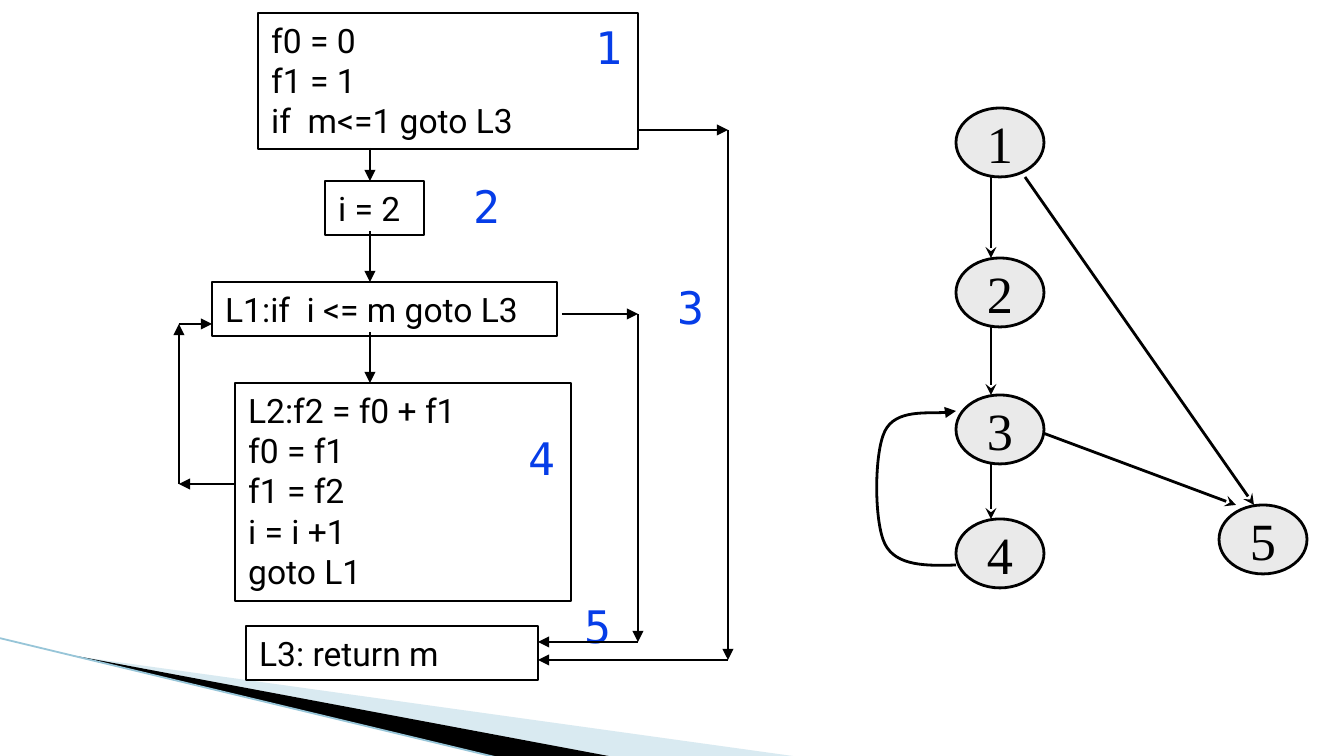
import dataclasses
import typing

import lxml.etree
import pptx
import pptx.dml.color
import pptx.enum.shapes
import pptx.enum.text
import pptx.oxml
import pptx.oxml.ns
import pptx.util

EMU_PER_PX = 914400 / 134.4
BLACK = "000000"
BLUE = "063DE8"
SHAPES = pptx.enum.shapes.MSO_SHAPE
MIDDLE = pptx.enum.text.MSO_ANCHOR.MIDDLE
CENTER = pptx.enum.text.PP_ALIGN.CENTER
GROW = pptx.enum.text.MSO_AUTO_SIZE.SHAPE_TO_FIT_TEXT

CODE_FRAME = {"auto_size": GROW, "vertical_anchor": pptx.enum.text.MSO_ANCHOR.TOP}
DIGIT_FRAME = {"word_wrap": False, "vertical_anchor": MIDDLE}
CODE_FONT = {"name": "Roboto", "size": pptx.util.Pt(18)}
LABEL_FONT = {"name": "DejaVu Sans Mono", "size": pptx.util.Pt(24)}
NODE_FONT = {"name": "Times New Roman", "size": pptx.util.Pt(28)}

Point = tuple[int, int]


@dataclasses.dataclass
class Block:
    """A basic block of the program and the place of its number."""
    left: int
    top: int
    width: int
    height: int
    code: str
    wrap: bool
    label: Point


@dataclasses.dataclass
class Arrow:
    start: Point
    end: Point


BLOCKS = [
    Block(258, 13, 380, 136, "f0 = 0\nf1 = 1\nif  m<=1 goto L3", True, (582, 22)),
    Block(325, 181, 99, 54, "i = 2", False, (460, 181)),
    Block(212, 282, 345, 54, "L1:if  i <= m goto L3", False, (664, 282)),
    Block(235, 383, 336, 218,
          "L2:f2 = f0 + f1\nf0 = f1\nf1 = f2\ni = i +1\ngoto L1", True, (515, 433)),
    Block(246, 626, 292, 54, "L3: return m", True, (571, 601)),
]
LABEL_SIZE = (42, 50)

FLOW_X, INNER_X, OUTER_X, BACK_X = 370, 638, 728, 179
FLOW_ARROWS = [
    Arrow((FLOW_X, 148), (FLOW_X, 181)),
    Arrow((FLOW_X, 231), (FLOW_X, 282)),
    Arrow((FLOW_X, 332), (FLOW_X, 383)),
    Arrow((638, 130), (OUTER_X, 130)),
    Arrow((OUTER_X, 130), (OUTER_X, 660)),
    Arrow((OUTER_X, 660), (538, 660)),
    Arrow((562, 314), (INNER_X, 314)),
    Arrow((INNER_X, 314), (INNER_X, 642)),
    Arrow((INNER_X, 642), (538, 642)),
    Arrow((235, 484), (BACK_X, 484)),
    Arrow((BACK_X, 484), (BACK_X, 324)),
    Arrow((BACK_X, 324), (212, 324)),
]

NODES = [(956, 108), (956, 258), (956, 395), (956, 519), (1219, 505)]
NODE_SIZE = (88, 69)
EDGE_X = 991
EDGES = [
    Arrow((EDGE_X, 177), (EDGE_X, 258)),
    Arrow((EDGE_X, 327), (EDGE_X, 395)),
    Arrow((EDGE_X, 464), (EDGE_X, 519)),
    Arrow((1043, 433), (1236, 505)),
    Arrow((1025, 177), (1254, 505)),
]
LOOP = [(956, 565), (926, 566), (896, 566), (885, 544), (874, 522),
        (874, 453), (885, 431), (896, 409), (943, 415), (956, 411)]


def px(length: int) -> int:
    return round(length * EMU_PER_PX)


def rgb(color: str) -> pptx.dml.color.RGBColor:
    return pptx.dml.color.RGBColor.from_string(color)


def set_attributes(target: typing.Any, values: dict) -> None:
    for name, value in values.items():
        setattr(target, name, value)


def set_line(shape: typing.Any, width: float, color: str = BLACK, head: str = "") -> None:
    """Set the outline, with an arrowhead of the given type at its end."""
    shape.line.width = pptx.util.Pt(width)
    shape.line.color.rgb = rgb(color)
    if head:
        tail = lxml.etree.SubElement(shape.line._get_or_add_ln(), pptx.oxml.ns.qn("a:tailEnd"))
        tail.set("type", head)


def write(shape: typing.Any, text: str, frame: dict, font: dict,
          color: str = BLACK, align: typing.Any = None) -> None:
    set_attributes(shape.text_frame, frame)
    shape.text_frame.text = text
    for para in shape.text_frame.paragraphs:
        para.alignment = align
        for span in para.runs:
            set_attributes(span.font, font)
            span.font.color.rgb = rgb(color)


def add_line(page: typing.Any, arrow: Arrow, width: float,
             color: str = BLACK, head: str = "") -> None:
    ends = [px(value) for value in (*arrow.start, *arrow.end)]
    line = page.shapes.add_connector(pptx.enum.shapes.MSO_CONNECTOR.STRAIGHT, *ends)
    set_line(line, width, color, head)
    lxml.etree.SubElement(line._element.spPr, pptx.oxml.ns.qn("a:effectLst"))


def add_outline(page: typing.Any, points: list[Point], close: bool) -> typing.Any:
    builder = page.shapes.build_freeform(*points[0], scale=EMU_PER_PX)
    builder.add_line_segments(points[1:], close=close)
    outline = builder.convert_to_shape()
    outline.shadow.inherit = False
    return outline


def add_wedge(page: typing.Any, points: list[Point], color: str, opacity: int) -> None:
    wedge = add_outline(page, points, True)
    wedge.line.fill.background()
    wedge.fill.solid()
    wedge.fill.fore_color.rgb = rgb(color)
    if opacity < 100:
        tint = wedge._element.spPr.find(".//" + pptx.oxml.ns.qn("a:srgbClr"))
        lxml.etree.SubElement(tint, pptx.oxml.ns.qn("a:alpha")).set("val", str(opacity * 1000))


def add_loop(page: typing.Any, points: list[Point]) -> None:
    """Draw cubic curves: each three points after the first form one."""
    loop = add_outline(page, points, False)
    loop.fill.background()
    set_line(loop, 1.5, head="triangle")
    track = loop._element.spPr.find(".//" + pptx.oxml.ns.qn("a:path"))
    steps = track.findall(pptx.oxml.ns.qn("a:lnTo"))
    for first in range(0, len(steps), 3):
        curve = lxml.etree.SubElement(track, pptx.oxml.ns.qn("a:cubicBezTo"))
        for step in steps[first:first + 3]:
            curve.append(step[0])
            track.remove(step)


def add_node(page: typing.Any, place: Point, number: int) -> None:
    node = page.shapes.add_shape(SHAPES.OVAL, *map(px, (*place, *NODE_SIZE)))
    node.shadow.inherit = False
    node.fill.solid()
    node.fill.fore_color.rgb = rgb("EAEAEA")
    set_line(node, 1.5)
    write(node, str(number), DIGIT_FRAME, NODE_FONT, align=CENTER)


def add_block(page: typing.Any, block: Block, number: int) -> None:
    area = (block.left, block.top, block.width, block.height)
    box = page.shapes.add_shape(SHAPES.RECTANGLE, *map(px, area))
    box.shadow.inherit = False
    box.fill.background()
    set_line(box, 0.75)
    write(box, block.code, {**CODE_FRAME, "word_wrap": block.wrap}, CODE_FONT,
          align=pptx.enum.text.PP_ALIGN.LEFT)
    label = page.shapes.add_textbox(*map(px, (*block.label, *LABEL_SIZE)))
    write(label, str(number), DIGIT_FRAME, LABEL_FONT, BLUE, CENTER)


def main() -> None:
    deck = pptx.Presentation()
    deck.slide_width, deck.slide_height = px(1344), px(756)
    page = deck.slides.add_slide(deck.slide_layouts[6])

    add_wedge(page, [(74, 656), (800, 757), (613, 757)], "A0CBDC", 40)
    add_wedge(page, [(71, 655), (614, 757), (500, 758), (73, 656)], BLACK, 100)
    add_line(page, Arrow((-1, 638), (499, 758)), 0.95, "97C5D8")

    for number, place in enumerate(NODES, 1):
        add_node(page, place, number)
    for edge in EDGES:
        add_line(page, edge, 1.5, head="stealth")
    add_loop(page, LOOP)

    for number, block in enumerate(BLOCKS, 1):
        add_block(page, block, number)
    for arrow in FLOW_ARROWS:
        add_line(page, arrow, 0.75, head="triangle")

    deck.save("out.pptx")


if __name__ == "__main__":
    main()
